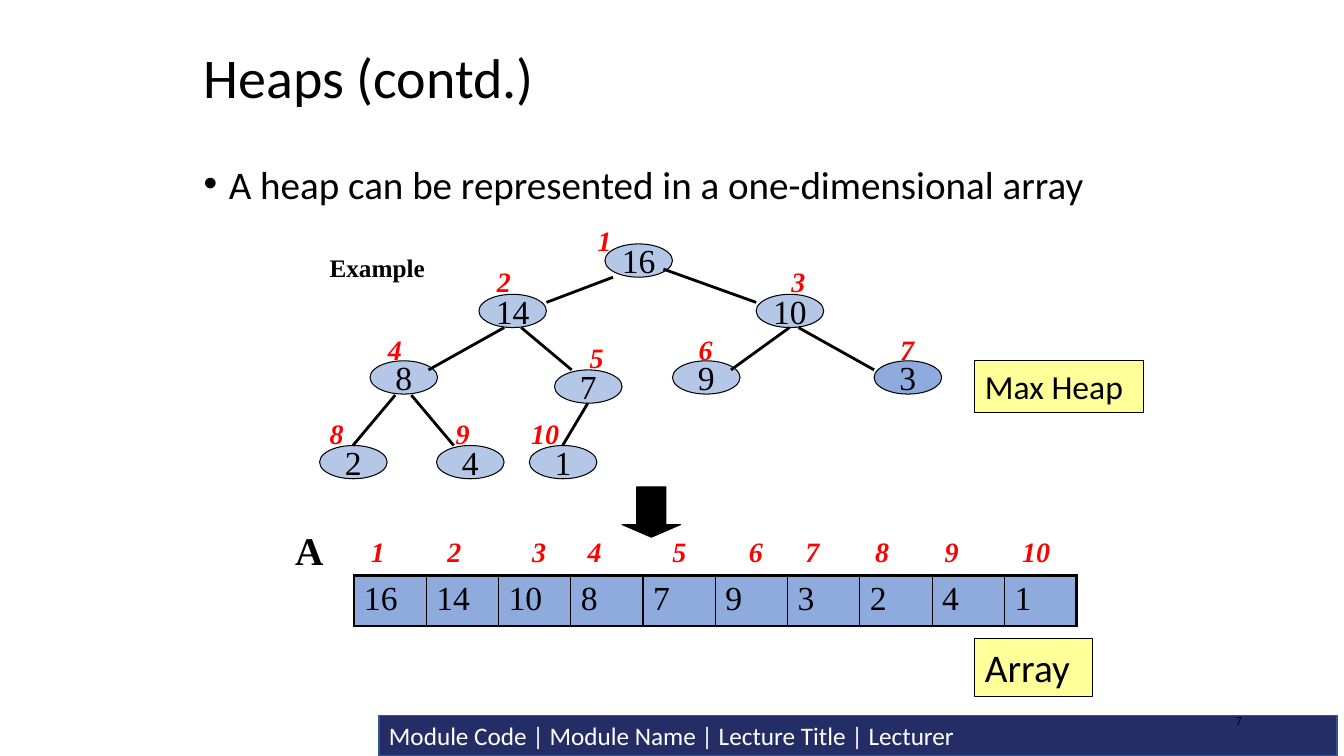
from lxml.etree import SubElement
from pptx import Presentation
from pptx.dml.color import RGBColor
from pptx.enum.shapes import MSO_CONNECTOR, MSO_SHAPE
from pptx.enum.text import MSO_ANCHOR, MSO_AUTO_SIZE, PP_ALIGN
from pptx.oxml.ns import qn
from pptx.util import Inches, Pt

COLORS = {"black": "000000", "white": "FFFFFF", "red": "FF0000", "navy": "252D67",
          "edge": "325491", "node": "B4C7E7", "cell": "8FAADC", "note": "FFFF99"}
SERIF = "Times New Roman"
INDEX = {"size": Pt(20), "name": SERIF, "bold": True, "italic": True}


def write(holder, text, formats, color="black", align=PP_ALIGN.LEFT,
          anchor=MSO_ANCHOR.TOP, wrap=True):
    frame = holder.text_frame
    frame.word_wrap = wrap
    frame.auto_size = MSO_AUTO_SIZE.NONE
    frame.vertical_anchor = anchor
    para = frame.paragraphs[0]
    para.alignment = align
    span = para.add_run()
    span.text = text
    for key, value in formats.items():
        setattr(span.font, key, value)
    span.font.color.rgb = RGBColor.from_string(COLORS[color])
    return para


def add_block(kind, place, fill, line="black", weight=0.75):
    block = page.shapes.add_shape(kind, *map(Inches, place))
    block.shadow.inherit = False
    block.fill.solid()
    block.fill.fore_color.rgb = RGBColor.from_string(COLORS[fill])
    block.line.color.rgb = RGBColor.from_string(COLORS[line])
    block.line.width = Pt(weight)
    return block


deck = Presentation()
deck.slide_width, deck.slide_height = Inches(13.33), Inches(7.5)
page = deck.slides.add_slide(deck.slide_layouts[1])

# Footer bar
footer = add_block(MSO_SHAPE.RECTANGLE, (3.76, 7.1, 9.5, 0.4), "navy", "edge", 1)
write(footer, "Module Code | Module Name | Lecture Title | Lecturer",
      {"size": Pt(18), "name": "Calibri"}, "white", anchor=MSO_ANCHOR.MIDDLE)

# Title and bullet
title, body = page.placeholders[0], page.placeholders[1]
for holder, place in ((title, (1.92, 0.42, 8.5, 0.75)), (body, (1.92, 1.67, 9.08, 0.75))):
    holder.left, holder.top, holder.width, holder.height = map(Inches, place)
para = write(title, "Heaps (contd.)", {"size": Pt(40), "name": "Calibri"},
             anchor=MSO_ANCHOR.MIDDLE)
para.line_spacing = 0.9
para = write(body, "A heap can be represented in a one-dimensional array",
             {"size": Pt(27.9), "name": "Calibri"})
para.line_spacing = 0.7
para.space_before = Pt(0)
props = para._p.get_or_add_pPr()
props.set("marL", str(Inches(0.25)))
props.set("indent", str(Inches(-0.25)))
SubElement(props, qn("a:buFont"), typeface="Arial")
SubElement(props, qn("a:buChar"), char="•")

# Heap nodes in array order: value, node left and top, index left and top
nodes = [
    (16, 6, 2.42, 5.83, 2.17), (14, 4.75, 2.92, 4.83, 2.58),
    (10, 7.5, 2.92, 7.75, 2.58), (8, 3.67, 3.58, 3.75, 3.25),
    (7, 5.5, 3.67, 5.75, 3.33), (9, 6.67, 3.58, 6.83, 3.25),
    (3, 8.67, 3.58, 8.83, 3.25), (2, 3.17, 4.42, 3.17, 4.08),
    (4, 4.33, 4.42, 4.42, 4.08), (1, 5.25, 4.42, 5.17, 4.08),
]

# Array table
array = page.shapes.add_table(1, len(nodes), Inches(3.51), Inches(5.71),
                              Inches(7.17), Inches(0.5)).table
array.first_row = array.horz_banding = False
for position, node in enumerate(nodes):
    array.columns[position].width = Inches(7.17 / len(nodes))
    cell = array.cell(0, position)
    para = cell.text_frame.paragraphs[0]
    span = para.add_run()
    span.text = str(node[0])
    span.font.size, span.font.name = Pt(24), SERIF
    span.font.color.rgb = RGBColor.from_string(COLORS["black"])
    props = cell._tc.get_or_add_tcPr()
    weights = {"a:lnL": 2.25 if position == 0 else 1,
               "a:lnR": 2.25 if position == len(nodes) - 1 else 1,
               "a:lnT": 2.25, "a:lnB": 2.25}
    for side, weight in weights.items():
        border = SubElement(props, qn(side), w=str(Pt(weight)))
        SubElement(SubElement(border, qn("a:solidFill")), qn("a:srgbClr"), val=COLORS["black"])
    cell.fill.solid()
    cell.fill.fore_color.rgb = RGBColor.from_string(COLORS["cell"])

# Heap tree: ellipses
for value, left, top, *_ in nodes:
    oval = add_block(MSO_SHAPE.OVAL, (left, top, 0.67, 0.33), "cell" if value == 3 else "node")
    write(oval, str(value), {"size": Pt(24), "name": SERIF}, align=PP_ALIGN.CENTER,
          anchor=MSO_ANCHOR.MIDDLE, wrap=False)

# Heap tree: edges
edges = [
    (6.08, 2.75, 5.42, 3), (6.58, 2.67, 7.5, 3), (5, 3.25, 4.25, 3.67),
    (5.17, 3.25, 5.67, 3.67), (3.92, 3.92, 3.5, 4.42), (4.08, 3.92, 4.5, 4.42),
    (5.83, 4, 5.58, 4.42), (7.83, 3.25, 7.25, 3.67), (7.92, 3.25, 8.67, 3.67),
]
for ends in edges:
    edge = page.shapes.add_connector(MSO_CONNECTOR.STRAIGHT, *map(Inches, ends))
    edge.line.color.rgb = RGBColor.from_string(COLORS["black"])
    edge.line.width = Pt(2)
    SubElement(edge._element.spPr, qn("a:effectLst"))

# Heap tree: indices
for number, (_, _, _, left, top) in enumerate(nodes, start=1):
    box = page.shapes.add_textbox(*map(Inches, (left, top, 0.67, 0.43)))
    write(box, str(number), INDEX, "red")

# Array indices, spaced by tab stops
box = page.shapes.add_textbox(*map(Inches, (3.58, 5.25, 7.25, 0.43)))
para = write(box, "\t".join(str(n) for n in range(1, len(nodes) + 1)), INDEX, "red")
tabs = SubElement(para._p.get_or_add_pPr(), qn("a:tabLst"))
for stop in (0.76, 1.6, 2.15, 2.99, 3.75, 4.31, 5, 5.69, 6.46):
    SubElement(tabs, qn("a:tab"), pos=str(Inches(stop)), algn="l")

# Arrow from tree to array
arrow = add_block(MSO_SHAPE.DOWN_ARROW, (6.17, 4.83, 0.58, 0.5), "black")
arrow.adjustments[0], arrow.adjustments[1] = 0.5, 0.25

# Yellow notes
for text, place, size in (("Max Heap", (9.67, 3.58, 1.67, 0.51), 24),
                          ("Array", (9.67, 6.33, 1.17, 0.58), 28)):
    note = add_block(MSO_SHAPE.RECTANGLE, place, "note")
    write(note, text, {"size": Pt(size), "name": "Calibri"})

# Array name, example label and page number
box = page.shapes.add_textbox(*map(Inches, (2.83, 5.17, 0.67, 0.57)))
write(box, "A", {"size": Pt(28), "name": SERIF, "bold": True})
box = page.shapes.add_textbox(*map(Inches, (3.17, 2.49, 1.15, 0.84)))
para = write(box, "Example", {"size": Pt(18), "name": SERIF, "bold": True}, wrap=False)
para.line_spacing = 0.9
box = page.shapes.add_textbox(*map(Inches, (9.42, 6.95, 3, 0.4)))
write(box, "7", {"size": Pt(8), "name": "Roboto"}, align=PP_ALIGN.RIGHT,
      anchor=MSO_ANCHOR.MIDDLE)

deck.save("out.pptx")
